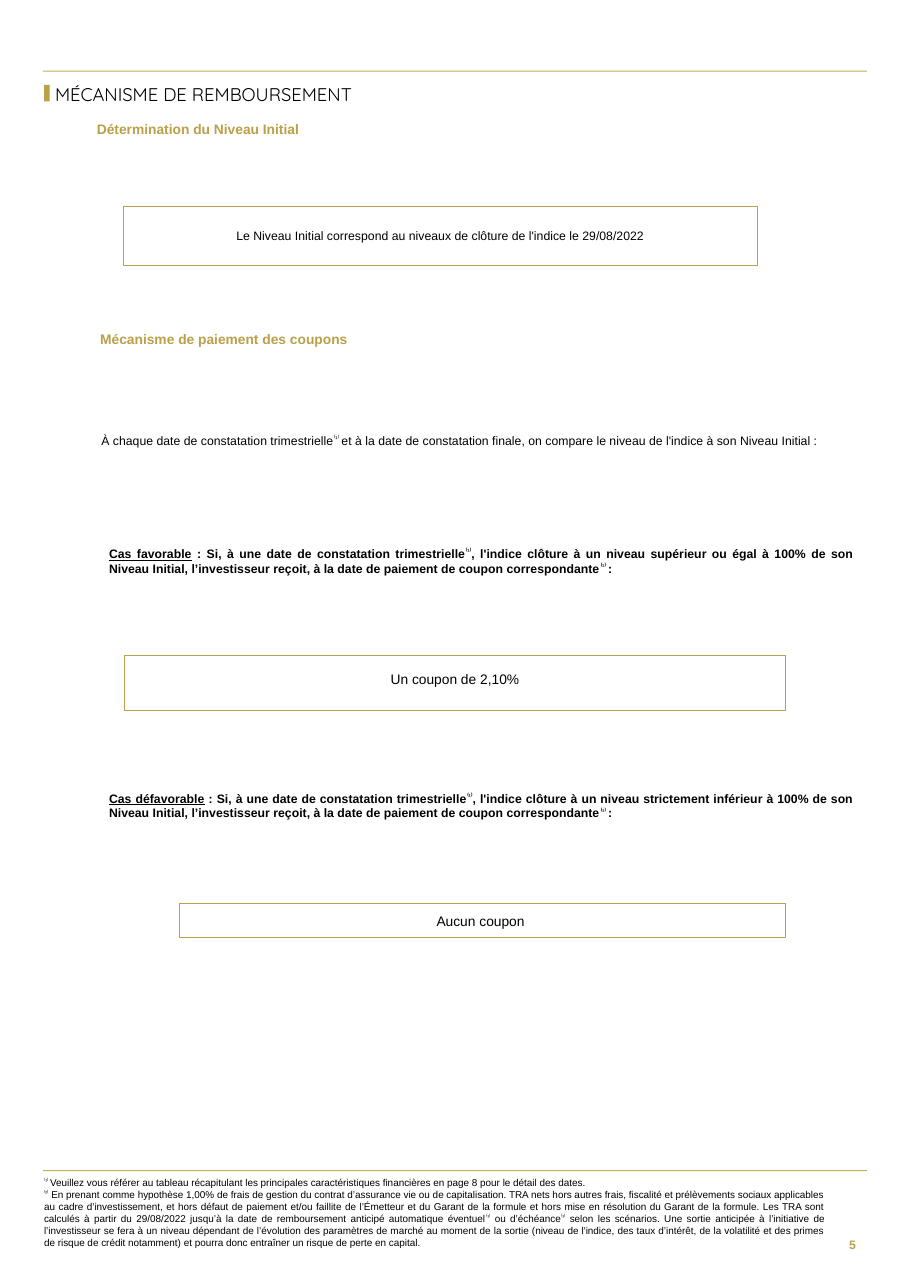
from dataclasses import dataclass

from pptx import Presentation
from pptx.dml.color import RGBColor
from pptx.enum.shapes import MSO_SHAPE as Shape
from pptx.enum.text import MSO_ANCHOR as Anchor, MSO_AUTO_SIZE as AutoSize, PP_ALIGN as Align
from pptx.util import Inches, Pt

COLOURS = {"gold": "B9A049", "rule": "C5AF5C", "black": "000000", "white": "FFFFFF"}


@dataclass
class Passage:
    left: float
    top: float
    width: float
    height: float
    paragraphs: list[str]
    size: float = 8
    colour: str = "black"
    bold: bool = False
    align: Align = Align.JUSTIFY
    anchor: Anchor = Anchor.TOP
    lead: str = ""
    font: str = "Arial"
    insets: tuple[float, float, float, float] = (0, 0, 0, 0)


@dataclass
class Frame:
    passage: Passage
    weight: float
    filled: bool = True


@dataclass
class Bar:
    left: float
    top: float
    width: float
    height: float
    colour: str


def colour(name: str) -> RGBColor:
    return RGBColor.from_string(COLOURS[name])


def bounds(item: Passage | Bar) -> list[int]:
    return [Inches(n) for n in (item.left, item.top, item.width, item.height)]


def write(shape, passage: Passage) -> None:
    frame = shape.text_frame
    frame.word_wrap = True
    frame.auto_size = AutoSize.NONE
    frame.vertical_anchor = passage.anchor
    (frame.margin_left, frame.margin_top,
     frame.margin_right, frame.margin_bottom) = [Inches(n) for n in passage.insets]
    for index, wording in enumerate(passage.paragraphs):
        paragraph = frame.add_paragraph() if index else frame.paragraphs[0]
        paragraph.alignment = passage.align
        paragraph.font.name = passage.font
        paragraph.font.size = Pt(passage.size)
        paragraph.font.bold = passage.bold
        paragraph.font.color.rgb = colour(passage.colour)
        if passage.lead:
            lead = paragraph.add_run()
            lead.text = passage.lead
            lead.font.underline = True
        for position, part in enumerate(wording.split("|")):
            if part:
                run = paragraph.add_run()
                run.text = part
                if position % 2:
                    run._r.get_or_add_rPr().set("baseline", "30000")


def draw_bar(slide, bar: Bar) -> None:
    shape = slide.shapes.add_shape(Shape.RECTANGLE, *bounds(bar))
    shape.shadow.inherit = False
    shape.fill.solid()
    shape.fill.fore_color.rgb = colour(bar.colour)
    shape.line.fill.background()


def draw_text(slide, passage: Passage) -> None:
    write(slide.shapes.add_textbox(*bounds(passage)), passage)


def draw_frame(slide, frame: Frame) -> None:
    shape = slide.shapes.add_shape(Shape.RECTANGLE, *bounds(frame.passage))
    shape.shadow.inherit = False
    if frame.filled:
        shape.fill.solid()
        shape.fill.fore_color.rgb = colour("white")
    else:
        shape.fill.background()
    shape.line.color.rgb = colour("gold")
    shape.line.width = Pt(frame.weight)
    write(shape, frame.passage)


def heading(left: float, top: float, wording: str) -> Passage:
    return Passage(left, top, 3.2, 0.18, [wording], 9, "gold", True, Align.LEFT)


def case(top: float, lead: str, level: str) -> Passage:
    wording = (
        " : Si, à une date de constatation trimestrielle|⁽¹⁾|, l'indice clôture à un niveau "
        f"{level} à 100% de son Niveau Initial, l’investisseur reçoit, à la date de paiement "
        "de coupon correspondante|⁽¹⁾ |: "
    )
    return Passage(0.99, top, 6.76, 0.27, [wording], bold=True, lead=lead)


def framed(left: float, top: float, width: float, height: float, wording: str,
           size: float, above: float, below: float) -> Passage:
    return Passage(left, top, width, height, [wording], size, align=Align.CENTER,
                   anchor=Anchor.MIDDLE, insets=(0.12, above, 0.12, below))


TITLE = Passage(0.5, 0.73, 4.21, 0.25, ["MÉCANISME DE REMBOURSEMENT"], 12,
                align=Align.LEFT, anchor=Anchor.MIDDLE, font="Quicksand")

BARS = [
    Bar(0.39, 0.64, 7.48, 0.01, "rule"),
    Bar(0.39, 10.62, 7.48, 0.01, "rule"),
    Bar(0.4, 0.77, 0.05, 0.15, "gold"),
]

DATES_NOTE = (
    "|⁽¹⁾ |Veuillez vous référer au tableau récapitulant les principales caractéristiques "
    "financières en page 8 pour le détail des dates. "
)
RETURNS_NOTE = [
    "|⁽²⁾| En prenant comme hypothèse 1,00% de frais de gestion du contrat d’assurance vie ou de "
    "capitalisation.",
    "TRA nets hors autres frais, fiscalité et prélèvements sociaux applicables au "
    "cadre d’investissement, et hors défaut de paiement et/ou faillite de l’Émetteur et du Garant "
    "de la formule et hors mise en résolution du Garant de la formule.",
    "Les TRA sont calculés à partir du 29/08/2022 jusqu’à la date de remboursement anticipé "
    "automatique éventuel|⁽¹⁾| ou d’échéance|⁽¹⁾| selon les scénarios.",
    "Une sortie anticipée à l’initiative de l’investisseur se "
    "fera à un niveau dépendant de l’évolution des paramètres de marché au moment de la sortie "
    "(niveau de l'indice, des taux d’intérêt, de la volatilité et des primes de risque de crédit "
    "notamment) et pourra donc entraîner un risque de perte en capital.",
]

PASSAGES = [
    heading(0.88, 1.1, "Détermination du Niveau Initial"),
    heading(0.91, 3, "Mécanisme de paiement des coupons"),
    Passage(0.92, 3.93, 6.57, 0.13, [
        "À chaque date de constatation trimestrielle|⁽¹⁾ |et à la date de constatation finale, "
        "on compare le niveau de l'indice à son Niveau Initial :"]),
    case(4.96, "Cas favorable", "supérieur ou égal"),
    case(7.18, "Cas défavorable", "strictement inférieur"),
    Passage(0.4, 10.68, 7.09, 0.66, [DATES_NOTE, " ".join(RETURNS_NOTE)], 6.5),
    Passage(7.48, 11.09, 0.39, 0.42, ["5"], 8, "gold", True, Align.RIGHT, Anchor.MIDDLE,
            insets=(0.1, 0.05, 0.1, 0.05)),
]

FRAMES = [
    Frame(framed(1.12, 1.87, 5.76, 0.54,
                 "Le Niveau Initial correspond au niveaux de clôture de l'indice le 29/08/2022",
                 8, 0.2, 0.2), 0.5, False),
    Frame(framed(1.13, 5.95, 6, 0.5, "Un coupon de 2,10%", 9, 0.08, 0.15), 0.75),
    Frame(framed(1.63, 8.2, 5.5, 0.31, "Aucun coupon ", 9, 0.08, 0.08), 0.75),
]


def main() -> None:
    deck = Presentation()
    deck.slide_width, deck.slide_height = Inches(8.27), Inches(11.69)
    slide = deck.slides.add_slide(deck.slide_layouts[5])
    title = slide.shapes.title
    title.left, title.top, title.width, title.height = bounds(TITLE)
    write(title, TITLE)
    for bar in BARS:
        draw_bar(slide, bar)
    for passage in PASSAGES:
        draw_text(slide, passage)
    for frame in FRAMES:
        draw_frame(slide, frame)
    deck.save("out.pptx")


if __name__ == "__main__":
    main()
